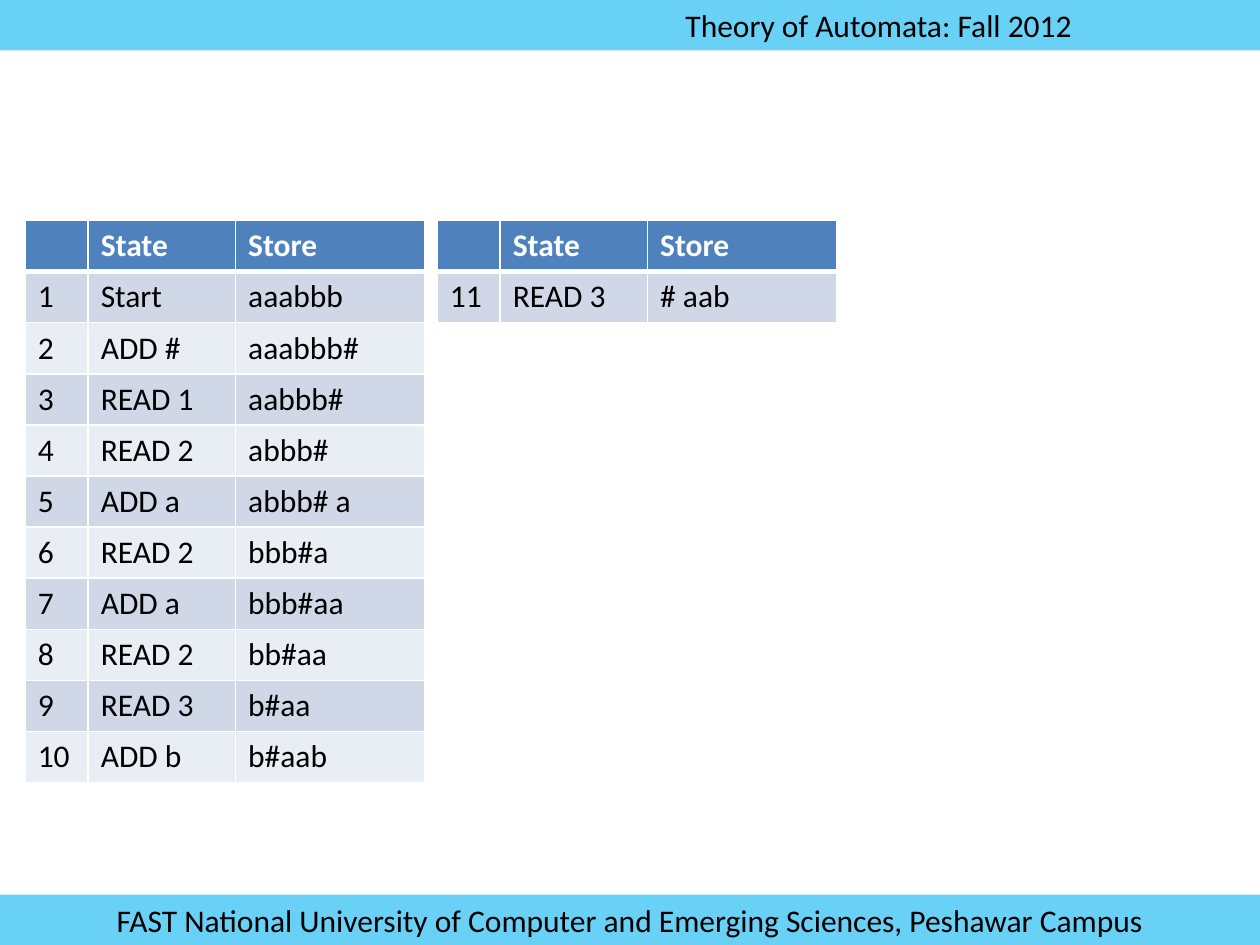
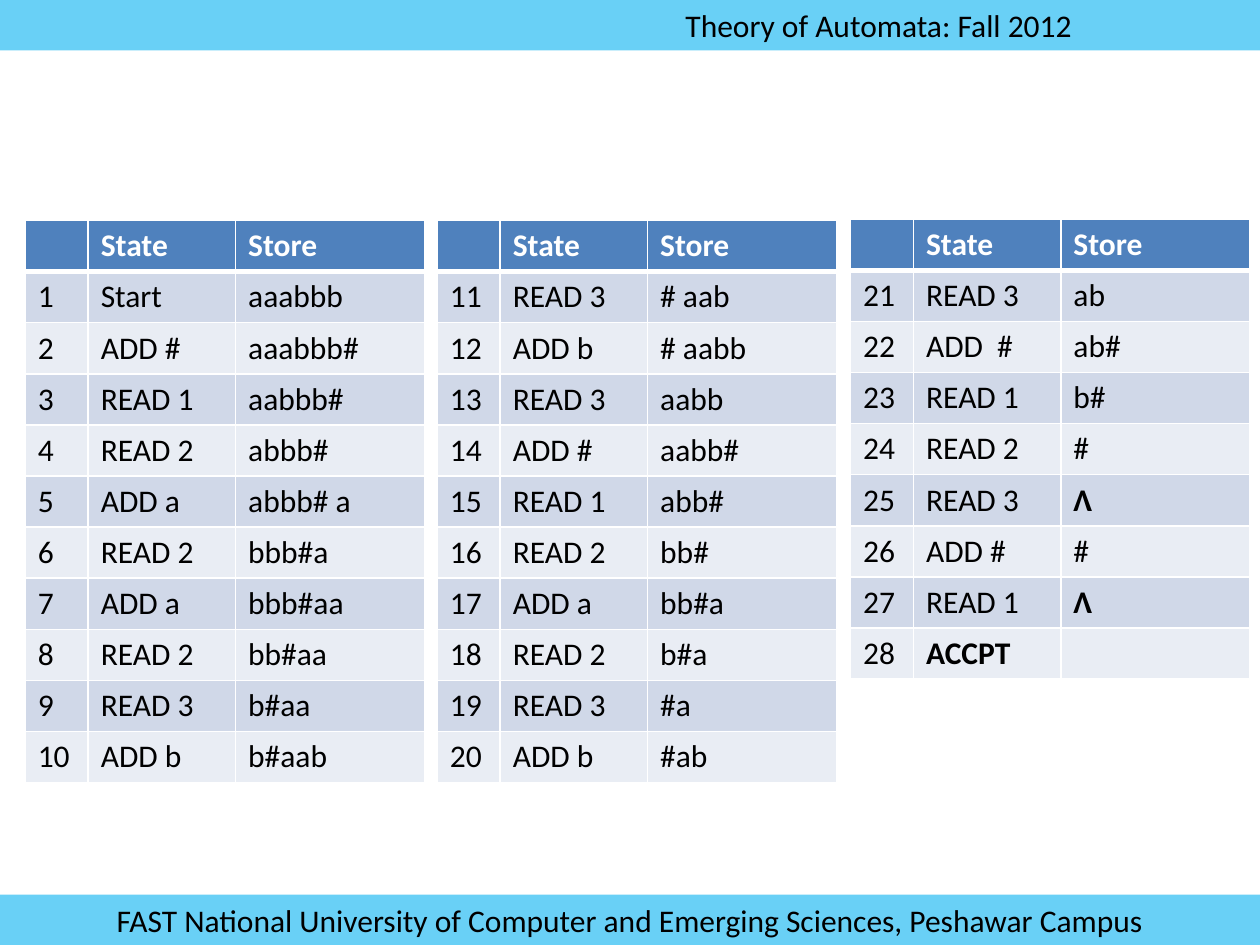
from lxml import etree
from pptx import Presentation
from pptx import util as u
from pptx.dml.color import RGBColor
from pptx.enum import shapes, text
from pptx.oxml.ns import qn

BAND = RGBColor(0x00, 0xB0, 0xF0)
HEADER = RGBColor(0x4F, 0x81, 0xBD)
ROW_TINTS = RGBColor(0xD0, 0xD8, 0xE8), RGBColor(0xE9, 0xED, 0xF4)
BLACK = RGBColor(0, 0, 0)
WHITE = RGBColor(0xFF, 0xFF, 0xFF)

FONT = "Calibri"
FONT_SIZE = u.Pt(18)
PAGE_WIDTH, PAGE_HEIGHT = u.Inches(10), u.Inches(7.5)
BAND_HEIGHT = u.Inches(0.4)
COURSE = "Theory of Automata: Fall 2012"
CAMPUS = "FAST National University of Computer and Emerging Sciences, Peshawar Campus"

COLUMN_WIDTHS = [u.Inches(width) for width in (0.5, 1.17, 1.5)]
ROW_HEIGHT = u.Inches(4.46) // 11
TABLE_SPOTS = [(u.Inches(left), u.Inches(top))
               for left, top in ((0.2, 1.75), (3.47, 1.75), (6.75, 1.74))]
BOLD_ENTRIES = {"Λ", "ACCPT"}

STEPS_1_TO_10 = [
    ("Start", "aaabbb"), ("ADD #", "aaabbb#"), ("READ 1", "aabbb#"),
    ("READ 2", "abbb#"), ("ADD a", "abbb# a"), ("READ 2", "bbb#a"),
    ("ADD a", "bbb#aa"), ("READ 2", "bb#aa"), ("READ 3", "b#aa"),
    ("ADD b", "b#aab"),
]
STEPS_11_TO_20 = [
    ("READ 3", "# aab"), ("ADD b", "# aabb"), ("READ 3", "aabb"),
    ("ADD #", "aabb#"), ("READ 1", "abb#"), ("READ 2", "bb#"),
    ("ADD a", "bb#a"), ("READ 2", "b#a"), ("READ 3", "#a"),
    ("ADD b", "#ab"),
]
STEPS_21_TO_28 = [
    ("READ 3", "ab"), ("ADD  #", "ab#"), ("READ 1", "b#"), ("READ 2", "#"),
    ("READ 3", "Λ"), ("ADD #", "#"), ("READ 1", "Λ"), ("ACCPT", ""),
]
TRACES = [
    [STEPS_1_TO_10, STEPS_11_TO_20[:1]],
    [STEPS_1_TO_10, STEPS_11_TO_20, STEPS_21_TO_28],
]


def write(frame, words, color, bold=False, align=text.PP_ALIGN.LEFT):
    para = frame.paragraphs[0]
    if words:
        para.text = words
    para.alignment = align
    para.font.name, para.font.size = FONT, FONT_SIZE
    para.font.bold = bold
    para.font.color.rgb = color


def add_band(page, top, words, align, text_left=u.Inches(0.1)):
    band = page.shapes.add_shape(shapes.MSO_SHAPE.RECTANGLE,
                                 0, top, PAGE_WIDTH, BAND_HEIGHT)
    band.shadow.inherit = False
    band.line.fill.background()
    band.fill.solid()
    band.fill.fore_color.rgb = BAND
    color = band.fill._xPr.find(qn("a:solidFill"))[0]
    etree.SubElement(color, qn("a:alpha"), val="59000")
    frame = band.text_frame
    frame.word_wrap = True
    frame.margin_left = text_left
    frame.vertical_anchor = text.MSO_ANCHOR.MIDDLE
    write(frame, words, BLACK, align=align)


def set_borders(cell, top=1, bottom=1):
    """Give the cell white borders, with widths in points."""
    properties = cell._tc.get_or_add_tcPr()
    widths = {"lnL": 1, "lnR": 1, "lnT": top, "lnB": bottom}
    for place, (side, width) in enumerate(widths.items()):
        line = etree.Element(qn(f"a:{side}"), w=str(u.Pt(width)))
        fill = etree.SubElement(line, qn("a:solidFill"))
        etree.SubElement(fill, qn("a:srgbClr"), val=str(WHITE))
        properties.insert(place, line)


def add_trace_table(page, left, top, first_number, steps):
    rows = [("", "State", "Store")]
    rows += [(str(number), *step) for number, step in enumerate(steps, first_number)]
    table = page.shapes.add_table(len(rows), len(COLUMN_WIDTHS), left, top,
                                  sum(COLUMN_WIDTHS), ROW_HEIGHT * len(rows)).table
    table.horz_banding = False
    for column, width in zip(table.columns, COLUMN_WIDTHS):
        column.width = width
    for row_index, row in enumerate(rows):
        is_header = row_index == 0
        for column_index, words in enumerate(row):
            cell = table.cell(row_index, column_index)
            cell.fill.solid()
            cell.fill.fore_color.rgb = HEADER if is_header else ROW_TINTS[(row_index - 1) % 2]
            set_borders(cell, top=3 if row_index == 1 else 1, bottom=3 if is_header else 1)
            write(cell.text_frame, words, WHITE if is_header else BLACK,
                  bold=is_header or words in BOLD_ENTRIES)


def add_trace_page(deck, trace):
    page = deck.slides.add_slide(deck.slide_layouts[6])
    add_band(page, 0, COURSE, text.PP_ALIGN.LEFT, text_left=u.Inches(5.44))
    add_band(page, PAGE_HEIGHT - BAND_HEIGHT, CAMPUS, text.PP_ALIGN.CENTER)
    first_number = 1
    for (left, top), steps in zip(TABLE_SPOTS, trace):
        add_trace_table(page, left, top, first_number, steps)
        first_number += len(steps)


def main():
    deck = Presentation()
    deck.slide_width, deck.slide_height = PAGE_WIDTH, PAGE_HEIGHT
    for trace in TRACES:
        add_trace_page(deck, trace)
    deck.save("out.pptx")


if __name__ == "__main__":
    main()
